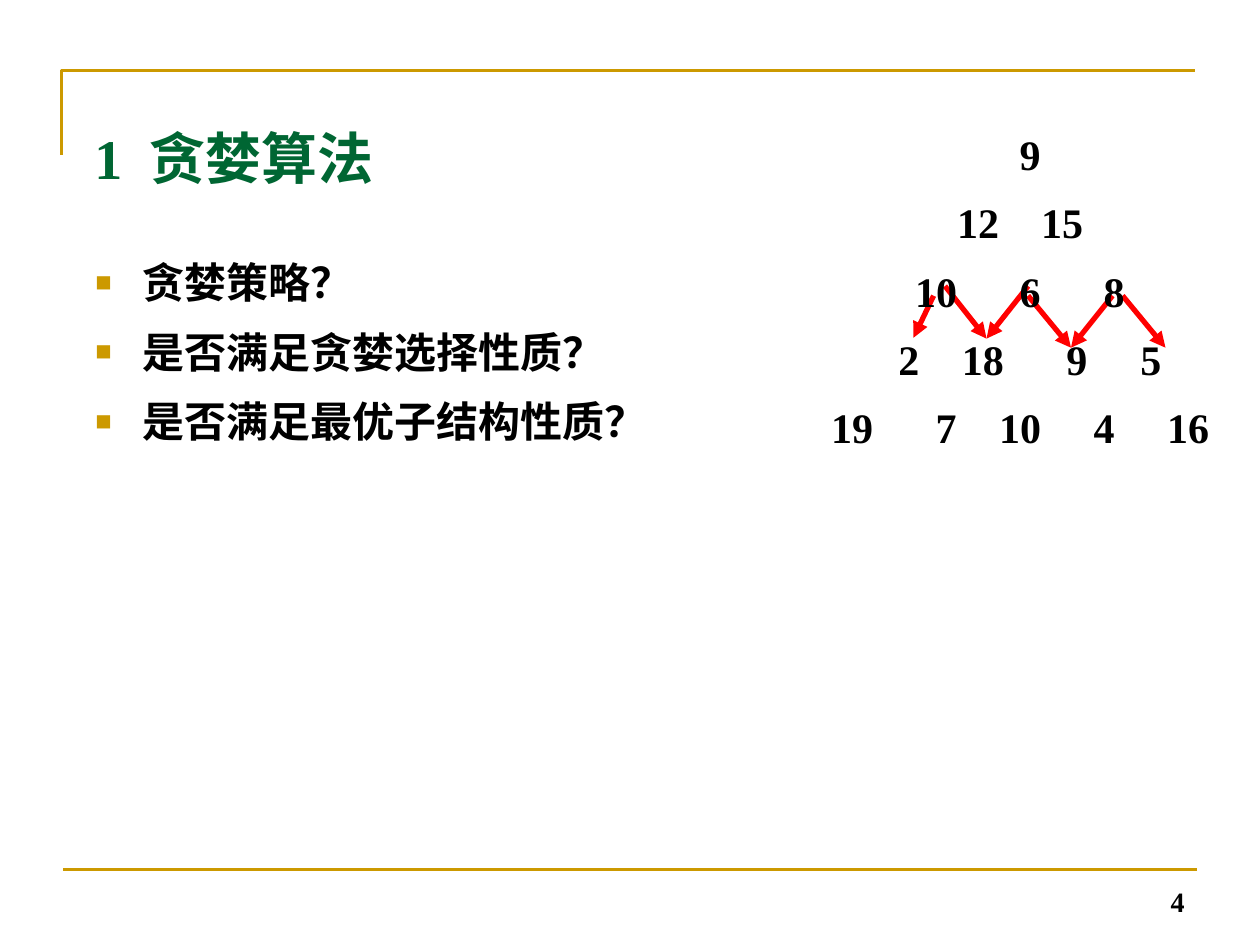
from lxml.etree import SubElement
from pptx import Presentation
from pptx.dml.color import RGBColor
from pptx.enum.shapes import MSO_CONNECTOR
from pptx.enum.text import MSO_ANCHOR, PP_ALIGN
from pptx.oxml.ns import qn
from pptx.util import Pt

COLORS = {"gold": "CC9900", "green": "006633", "black": "000000", "red": "FF0000"}
SERIF, SANS = "Times New Roman", "Arial"

QUESTIONS = ["贪婪策略？", "是否满足贪婪选择性质？", "是否满足最优子结构性质？"]

# Each row of the triangle: number and its centre, from the left of the triangle
TRIANGLE = [
    [("9", 120.6)],
    [("12", 91), ("15", 139)],
    [("10", 67), ("6", 120.6), ("8", 168.6)],
    [("2", 51.4), ("18", 93.7), ("9", 147.4), ("5", 189.7)],
    [("19", 19), ("7", 72.6), ("10", 115), ("4", 163), ("16", 211)],
]

# Arrows from the third row down to the fourth
STEPS = [
    ((540, 163.5), (563.75, 193.5)),
    ((587.5, 163.5), (563.75, 193.5)),
    ((533.5, 169), (522, 193)),
    ((587.5, 169), (612, 198.7)),
    ((635.75, 169), (612, 198.7)),
    ((641.5, 169), (666, 198.7)),
]


def rgb(name):
    return RGBColor.from_string(COLORS[name])


def add_frame(slide, left, top, width, height, anchor=MSO_ANCHOR.TOP):
    frame = slide.shapes.add_textbox(Pt(left), Pt(top), Pt(width), Pt(height)).text_frame
    frame.word_wrap = True
    frame.vertical_anchor = anchor
    return frame


def set_font(paragraph, size, family, color):
    font = paragraph.font
    font.size, font.name, font.bold = Pt(size), family, True
    font.color.rgb = rgb(color)


def set_tabs(paragraph, stops, align):
    tab_list = SubElement(paragraph._p.get_or_add_pPr(), qn("a:tabLst"))
    for stop in stops:
        SubElement(tab_list, qn("a:tab"), pos=str(int(Pt(stop))), algn=align)


def add_line(slide, start, end, color, width, arrow=False):
    line = slide.shapes.add_connector(
        MSO_CONNECTOR.STRAIGHT, *(Pt(value) for value in (*start, *end)))
    line.line.color.rgb = rgb(color)
    line.line.width = Pt(width)
    if arrow:
        SubElement(line.line._get_or_add_ln(), qn("a:tailEnd"), type="triangle")
    SubElement(line._element.spPr, qn("a:effectLst"))


def add_corner(slide):
    builder = slide.shapes.build_freeform(Pt(35.3), Pt(88.5))
    builder.add_line_segments([(Pt(35.3), Pt(40.4)), (Pt(683), Pt(40.4))], close=False)
    corner = builder.convert_to_shape()
    corner.shadow.inherit = False
    corner.fill.background()
    corner.line.color.rgb = rgb("gold")
    corner.line.width = Pt(1.5)


def add_title(slide):
    title = add_frame(slide, 46.8, 67, 648, 90).paragraphs[0]
    title.text = "1\t贪婪算法"
    set_tabs(title, [31.5], "l")
    set_font(title, 32, SERIF, "green")


def add_question(slide, top, text):
    question = add_frame(slide, 47.5, top, 426, 36).paragraphs[0]
    question.text = text
    properties = question._p.get_or_add_pPr()
    properties.set("marL", str(int(Pt(27))))
    properties.set("indent", str(int(Pt(-27))))
    bullet_color = SubElement(properties, qn("a:buClr"))
    SubElement(bullet_color, qn("a:srgbClr"), val=COLORS["gold"])
    SubElement(properties, qn("a:buSzPct"), val="65000")
    SubElement(properties, qn("a:buFont"), typeface=SANS)
    SubElement(properties, qn("a:buChar"), char="■")
    set_font(question, 24, SANS, "black")


def add_triangle(slide):
    frame = add_frame(slide, 468, 73.4, 232, 180)
    frame.margin_left = frame.margin_right = frame.margin_top = frame.margin_bottom = 0
    for index, numbers in enumerate(TRIANGLE):
        row = frame.add_paragraph() if index else frame.paragraphs[0]
        row.text = "".join(f"\t{number}" for number, _ in numbers)
        if index:
            row.space_before = Pt(10.25)
        set_tabs(row, [centre for _, centre in numbers], "ctr")
        set_font(row, 24, SERIF, "black")


def add_page_number(slide):
    number = add_frame(slide, 516, 492, 168, 36, MSO_ANCHOR.BOTTOM).paragraphs[0]
    number.text = "4"
    number.alignment = PP_ALIGN.RIGHT
    set_font(number, 16, SERIF, "black")


def main():
    deck = Presentation()
    deck.slide_width, deck.slide_height = Pt(720), Pt(540)
    slide = deck.slides.add_slide(deck.slide_layouts[6])

    # Page frame
    add_corner(slide)
    add_line(slide, (36, 496.8), (684, 496.8), "gold", 1.5)
    add_page_number(slide)

    # Title and questions
    add_title(slide)
    for index, text in enumerate(QUESTIONS):
        add_question(slide, 143.3 + 39.6 * index, text)

    # Number triangle over its arrows
    for start, end in STEPS:
        add_line(slide, start, end, "red", 3, arrow=True)
    add_triangle(slide)

    deck.save("out.pptx")


if __name__ == "__main__":
    main()
